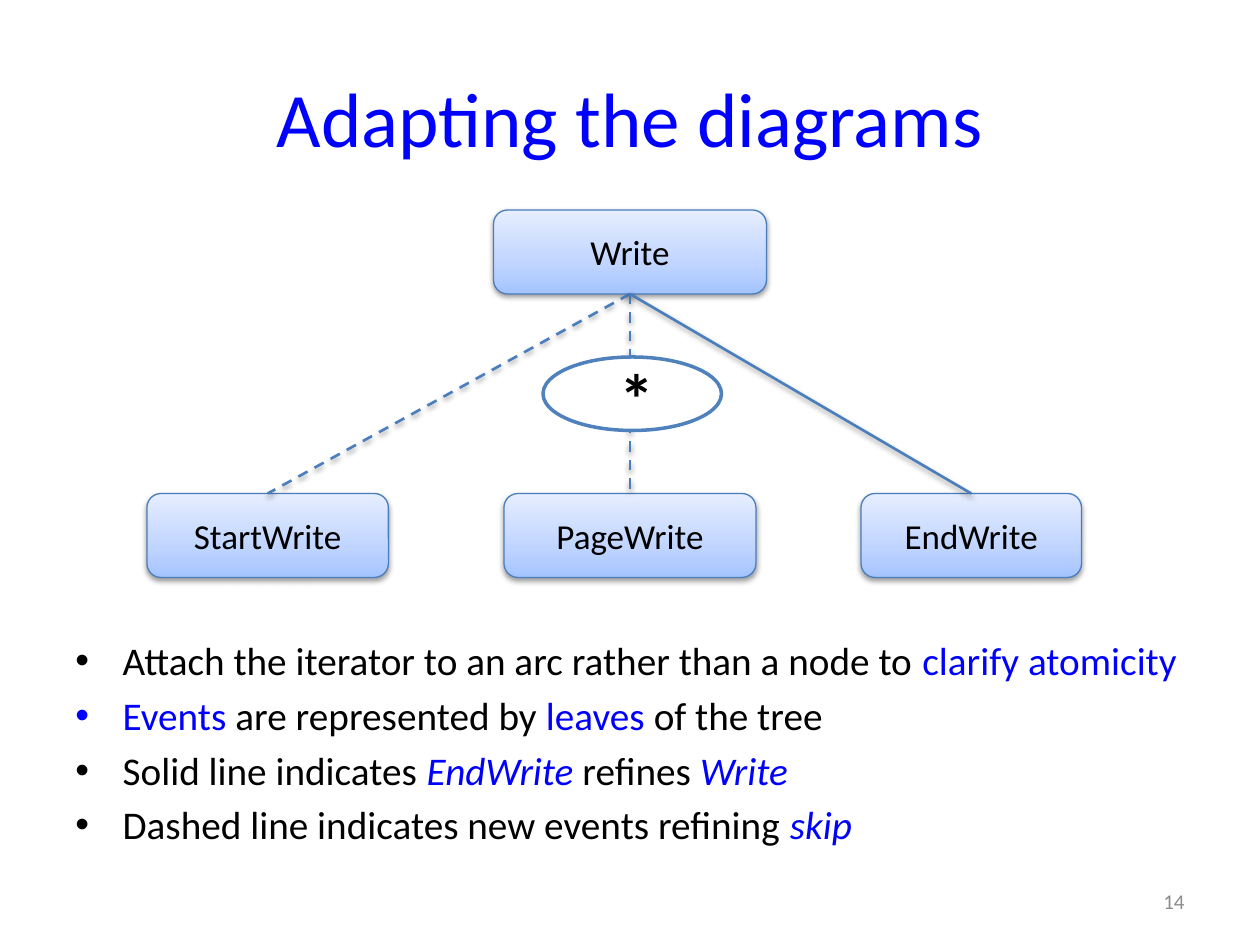
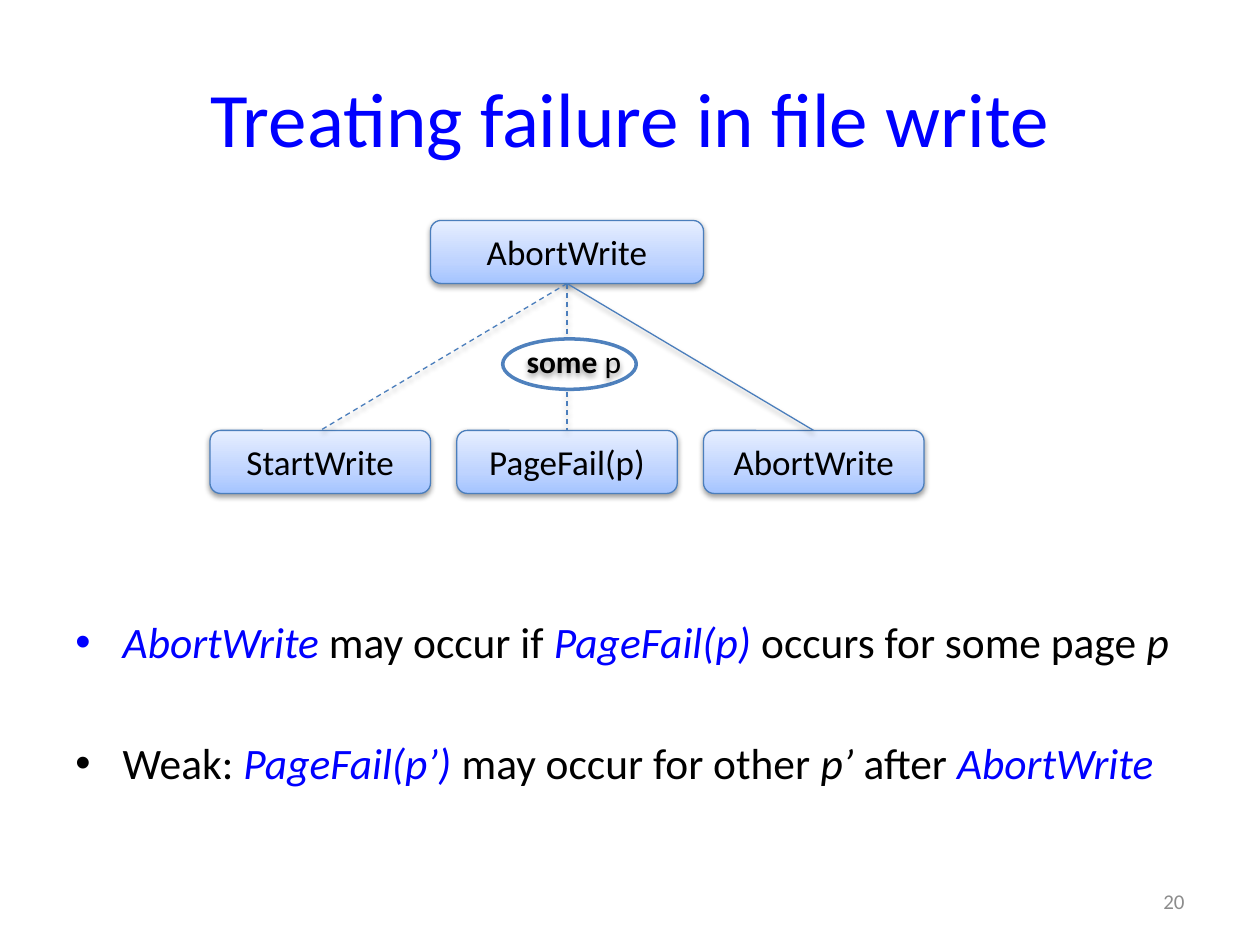
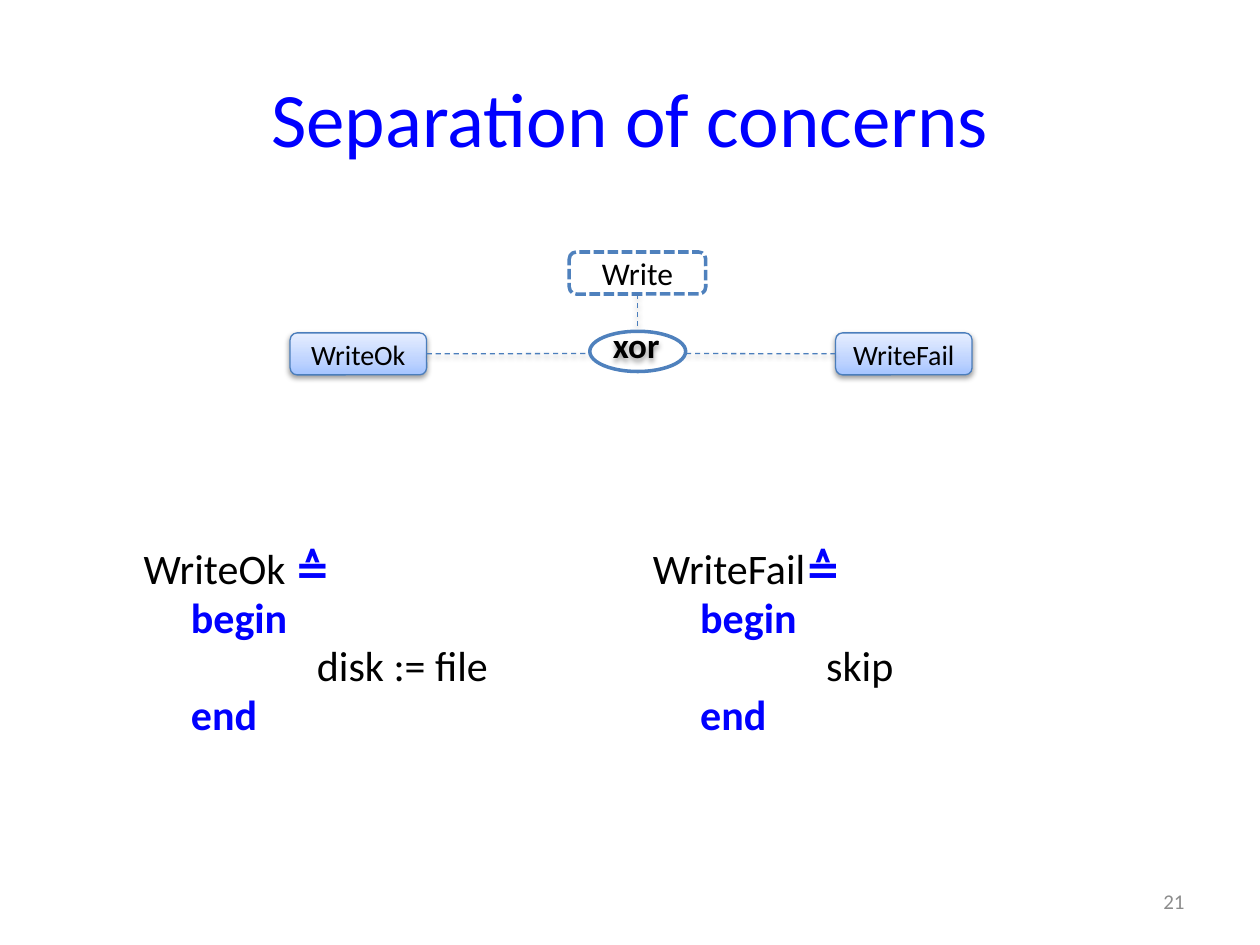
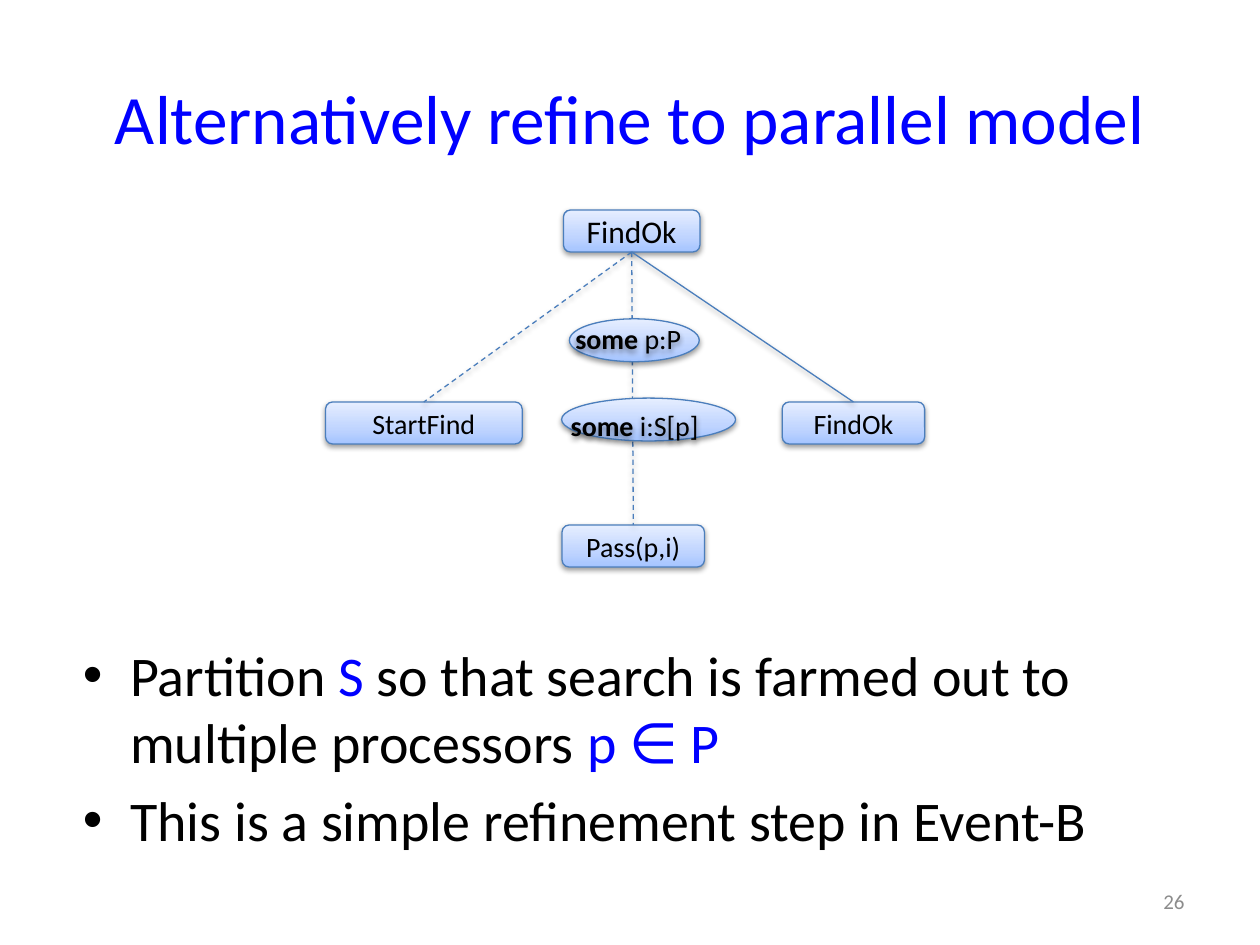
"""Build four slides on event refinement diagrams."""
from copy import deepcopy
from dataclasses import dataclass
from typing import Any, NamedTuple, Optional, Sequence

from lxml import etree
from pptx import Presentation
from pptx import util as u
from pptx.dml.color import RGBColor
from pptx.enum import dml, shapes, text
from pptx.oxml.ns import qn

FONT = "Calibri"
BLACK = RGBColor(0x00, 0x00, 0x00)
WHITE = RGBColor(0xFF, 0xFF, 0xFF)
BLUE = RGBColor(0x00, 0x00, 0xFF)
GREY = RGBColor(0x8C, 0x8C, 0x8C)
EDGE = RGBColor(0x4B, 0x7E, 0xBC)
OUTLINE = RGBColor(0x4F, 0x81, 0xBD)
GRADIENT = (
    (0, RGBColor(0xA4, 0xC4, 0xFF)),
    (0.35, RGBColor(0xBF, 0xD4, 0xFF)),
    (1, RGBColor(0xE6, 0xEE, 0xFF)),
)
HANGING = 27
CODE_INDENTS = (0, 27, 99, 27)
ROUNDED = shapes.MSO_SHAPE.ROUNDED_RECTANGLE
OVAL = shapes.MSO_SHAPE.OVAL
TOP, LEFT, BOTTOM, RIGHT = range(4)


class Area(NamedTuple):
    """Left, top, width and height in points."""

    left: float
    top: float
    width: float
    height: float

    def lengths(self) -> list[u.Length]:
        """Return the four lengths as slide units."""
        return [u.Pt(value) for value in self]


class Span(NamedTuple):
    """A stretch of text in one style."""

    content: str
    color: RGBColor = BLACK
    bold: bool = False
    italic: bool = False
    size: Optional[float] = None


@dataclass
class Node:
    """A labelled shape of a diagram."""

    label: str
    area: Area
    size: float = 20
    kind: shapes.MSO_SHAPE = ROUNDED


TITLE_AREA = Area(36, 21.6, 648, 90)
NUMBER_AREA = Area(516, 500.4, 168, 28.8)


def set_format(target: Any, values: dict[str, Any]) -> None:
    """Set every named attribute of the target."""
    for name, value in values.items():
        setattr(target, name, value)


def cast_shadow(item: Any) -> None:
    """Give an item the soft shadow used in the diagrams."""
    effects = etree.SubElement(item.element.spPr, qn("a:effectLst"))
    shadow = etree.SubElement(effects, qn("a:outerShdw"), blurRad="40000",
                              dist="20000", dir="5400000", rotWithShape="0")
    color = etree.SubElement(shadow, qn("a:srgbClr"), val=str(BLACK))
    etree.SubElement(color, qn("a:alpha"), val="38000")


def add_spans(para: Any, spans: Sequence[Span], size: float) -> None:
    """Write styled spans into a paragraph."""
    for span in spans:
        run = para.add_run()
        run.text = span.content
        set_format(run.font, {"name": FONT, "size": u.Pt(span.size or size),
                              "bold": span.bold, "italic": span.italic})
        run.font.color.rgb = span.color


def add_text(page: Any, area: Area, spans: Sequence[Span], size: float,
             align: text.PP_ALIGN = text.PP_ALIGN.LEFT,
             anchor: text.MSO_ANCHOR = text.MSO_ANCHOR.TOP, wrap: bool = True) -> Any:
    """Add a text box holding one paragraph."""
    box = page.shapes.add_textbox(*area.lengths())
    set_format(box.text_frame, {"word_wrap": wrap, "vertical_anchor": anchor})
    para = box.text_frame.paragraphs[0]
    para.alignment = align
    add_spans(para, spans, size)
    return box


def indent(para: Any, margin: float, first: float = 0) -> None:
    """Set the left margin and first-line indent of a paragraph."""
    props = para._p.get_or_add_pPr()
    props.set("marL", str(u.Pt(margin)))
    props.set("indent", str(u.Pt(first)))


def add_bullets(page: Any, area: Area, items: Sequence[Sequence[Span]],
                size: float, gap: float) -> None:
    """Add a bulleted list with a gap between its items."""
    box = page.shapes.add_textbox(*area.lengths())
    frame = box.text_frame
    frame.word_wrap = True
    for index, spans in enumerate(items):
        para = frame.add_paragraph() if index else frame.paragraphs[0]
        indent(para, HANGING, -HANGING)
        if index:
            para.space_before = u.Pt(gap)
        props = para._p.get_or_add_pPr()
        etree.SubElement(props, qn("a:buFont"), typeface="Arial")
        etree.SubElement(props, qn("a:buChar"), char="•")
        add_spans(para, spans, size)


def add_code(page: Any, area: Area, lines: Sequence[Sequence[Span]]) -> None:
    """Add an event definition with indented lines."""
    box = page.shapes.add_textbox(*area.lengths())
    frame = box.text_frame
    frame.word_wrap = True
    for index, (spans, margin) in enumerate(zip(lines, CODE_INDENTS)):
        para = frame.add_paragraph() if index else frame.paragraphs[0]
        indent(para, margin)
        para.line_spacing = 0.8
        if index:
            para.space_before = u.Pt(4.8)
        add_spans(para, spans, 24)


def add_shape(page: Any, kind: shapes.MSO_SHAPE, area: Area,
              spans: Sequence[Span] = (), size: float = 20) -> Any:
    """Add a shape with centred text."""
    shape = page.shapes.add_shape(kind, *area.lengths())
    frame = shape.text_frame
    set_format(frame, {"word_wrap": True, "vertical_anchor": text.MSO_ANCHOR.MIDDLE})
    frame.paragraphs[0].alignment = text.PP_ALIGN.CENTER
    add_spans(frame.paragraphs[0], spans, size)
    return shape


def add_node(page: Any, node: Node) -> Any:
    """Add a gradient-filled node."""
    spans = [Span(node.label)] if node.label else []
    shape = add_shape(page, node.kind, node.area, spans, node.size)
    shape.fill.gradient()
    shape.fill.gradient_angle = 90
    stops = shape.element.spPr.find(f".//{qn('a:gsLst')}")
    stops.append(deepcopy(stops[0]))
    for stop, (position, color) in zip(shape.fill.gradient_stops, GRADIENT):
        stop.position = position
        stop.color.rgb = color
    shape.line.color.rgb = EDGE
    shape.line.width = u.Pt(0.75)
    cast_shadow(shape)
    return shape


def add_outlined(page: Any, kind: shapes.MSO_SHAPE, area: Area,
                 spans: Sequence[Span] = (), size: float = 20) -> Any:
    """Add a white shape with a strong outline."""
    shape = add_shape(page, kind, area, spans, size)
    shape.shadow.inherit = False
    shape.fill.solid()
    shape.fill.fore_color.rgb = WHITE
    shape.line.color.rgb = OUTLINE
    shape.line.width = u.Pt(2)
    return shape


def add_edge(page: Any, begin: Any, site: int, end: tuple[float, float] = (0, 0),
             target: Any = None, dashed: bool = True, width: float = 0.75) -> None:
    """Draw a line from a side of a shape to a point or to the top of a target."""
    edge = page.shapes.add_connector(shapes.MSO_CONNECTOR.STRAIGHT, 0, 0,
                                     *(u.Pt(value) for value in end))
    edge.begin_connect(begin, site)
    if target is not None:
        edge.end_connect(target, TOP)
    edge.line.color.rgb = EDGE
    edge.line.width = u.Pt(width)
    if dashed:
        edge.line.dash_style = dml.MSO_LINE.DASH
    cast_shadow(edge)


def add_tree(page: Any, root: Node, leaves: Sequence[Node], width: float = 0.75) -> None:
    """Draw a root over its leaves, with a solid line to the last leaf."""
    parent = add_node(page, root)
    for leaf in leaves:
        add_edge(page, parent, BOTTOM, target=add_node(page, leaf),
                 dashed=leaf is not leaves[-1], width=width)


def add_label(page: Any, area: Area, spans: Sequence[Span], size: float,
              align: text.PP_ALIGN = text.PP_ALIGN.LEFT) -> None:
    """Add a shadowed label over an oval."""
    cast_shadow(add_text(page, area, spans, size, align, wrap=False))


def add_page(deck: Any, title: str, number: int, size: float = 44) -> Any:
    """Add a blank slide with its title and number."""
    page = deck.slides.add_slide(deck.slide_layouts[6])
    middle = text.MSO_ANCHOR.MIDDLE
    add_text(page, TITLE_AREA, [Span(title, BLUE)], size, text.PP_ALIGN.CENTER, middle)
    add_text(page, NUMBER_AREA, [Span(str(number), GREY)], 12, text.PP_ALIGN.RIGHT, middle)
    return page


def name(content: str) -> Span:
    """Return a blue italic event name."""
    return Span(content, BLUE, italic=True)


def build_adapting(deck: Any) -> None:
    """Build the slide on adapted diagrams."""
    page = add_page(deck, "Adapting the diagrams", 14)
    add_tree(page, Node("Write", Area(282, 120, 156, 48)), [
        Node("StartWrite", Area(84, 282, 138, 48)),
        Node("PageWrite", Area(288, 282, 144, 48)),
        Node("EndWrite", Area(492, 282, 126, 48)),
    ], width=1.5)
    add_outlined(page, OVAL, Area(310.3, 204, 102, 42),
                 [Span(" ", size=44), Span("*", bold=True, size=40), Span(" ")])
    add_bullets(page, Area(36, 360, 648, 122.4), [
        [Span("Attach the iterator to an arc rather than a node to "),
         Span("clarify atomicity", BLUE)],
        [Span("Events ", BLUE), Span("are represented by "), Span("leaves ", BLUE),
         Span("of the tree")],
        [Span("Solid line indicates "), name("EndWrite "), Span("refines "), name("Write")],
        [Span("Dashed line indicates new events refining "), name("skip")],
    ], 22.4, 4.48)


def build_failure(deck: Any) -> None:
    """Build the slide on failure in file write."""
    page = add_page(deck, "Treating failure in file write", 20)
    labels = ("StartWrite", "PageFail(p)", "AbortWrite")
    add_tree(page, Node("AbortWrite", Area(246, 126, 156, 36)),
             [Node(label, Area(120 + 141 * column, 246, 126, 36))
              for column, label in enumerate(labels)])
    add_outlined(page, OVAL, Area(287.3, 193.7, 76.3, 28.8))
    add_label(page, Area(293.8, 192.2, 69.1, 28.8), [Span("some ", bold=True), Span("p")], 18)
    add_bullets(page, Area(36, 348, 648, 134.4), [
        [name("AbortWrite "), Span("may occur if "), name("PageFail(p) "),
         Span("occurs for some page "), Span("p", italic=True)],
        [Span("Weak: "), name("PageFail(p’)"), Span(" may occur for other "),
         Span("p’", italic=True), Span(" after "), name("AbortWrite")],
    ], 24.8, 39.5)


def build_separation(deck: Any) -> None:
    """Build the slide on separated concerns."""
    page = add_page(deck, "Separation of concerns", 21)
    events = ((75, 225, "WriteOk ", "disk := file"), (366, 192, "WriteFail", "skip"))
    for left, width, event, action in events:
        add_code(page, Area(left, 312, width, 130), [
            [Span(event), Span("≙", BLUE, bold=True)],
            [Span("begin", BLUE, bold=True)],
            [Span(action)],
            [Span("end", BLUE, bold=True)],
        ])
    success = add_node(page, Node("WriteOk", Area(165.8, 190.2, 78, 24), 16))
    failure = add_node(page, Node("WriteFail", Area(477.5, 190.2, 78, 24), 16))
    write = add_outlined(page, ROUNDED, Area(325.3, 144, 78, 24), [Span("Write")], 18)
    write.line.dash_style = dml.MSO_LINE.SQUARE_DOT
    add_edge(page, success, RIGHT, (342, 202))
    add_edge(page, failure, LEFT, (386.6, 202))
    add_edge(page, write, BOTTOM, (364.3, 188.6))
    add_outlined(page, OVAL, Area(337, 189.3, 54.8, 23))
    add_label(page, Area(343.2, 181.4, 61.9, 31.7), [Span("xor", bold=True)], 20)


def build_parallel(deck: Any) -> None:
    """Build the slide on the parallel model."""
    page = add_page(deck, "Alternatively refine to parallel model", 26, 39.6)
    add_tree(page, Node("FindOk", Area(322, 120, 78, 24), 18), [
        Node("StartFind", Area(186, 229.7, 112.4, 24), 16),
        Node("Pass(p,i)", Area(321.2, 300, 81.4, 24), 16),
        Node("FindOk", Area(447, 229.7, 81.4, 24), 16),
    ])
    ovals = (
        (Area(320.9, 227.5, 99.4, 24.5), Area(307.6, 230, 110, 26.6), "i:S[p]"),
        (Area(325.4, 182.2, 74.2, 24.5), Area(318, 180.4, 82, 26.6), "p:P"),
    )
    for oval_area, label_area, variable in ovals:
        add_node(page, Node("", oval_area, kind=OVAL))
        add_label(page, label_area, [Span("some ", bold=True), Span(variable)], 16,
                  text.PP_ALIGN.CENTER)
    add_bullets(page, Area(40.3, 362.2, 648, 154), [
        [Span("Partition "), Span("S", BLUE),
         Span(" so that search is farmed out to multiple processors "), Span("p ∈ P", BLUE)],
        [Span("This is a simple refinement step in Event-B")],
    ], 32, 6.4)


def main() -> None:
    """Build and save the deck."""
    deck = Presentation()
    set_format(deck, {"slide_width": u.Pt(720), "slide_height": u.Pt(540)})
    for build in (build_adapting, build_failure, build_separation, build_parallel):
        build(deck)
    deck.save("out.pptx")


if __name__ == "__main__":
    main()
